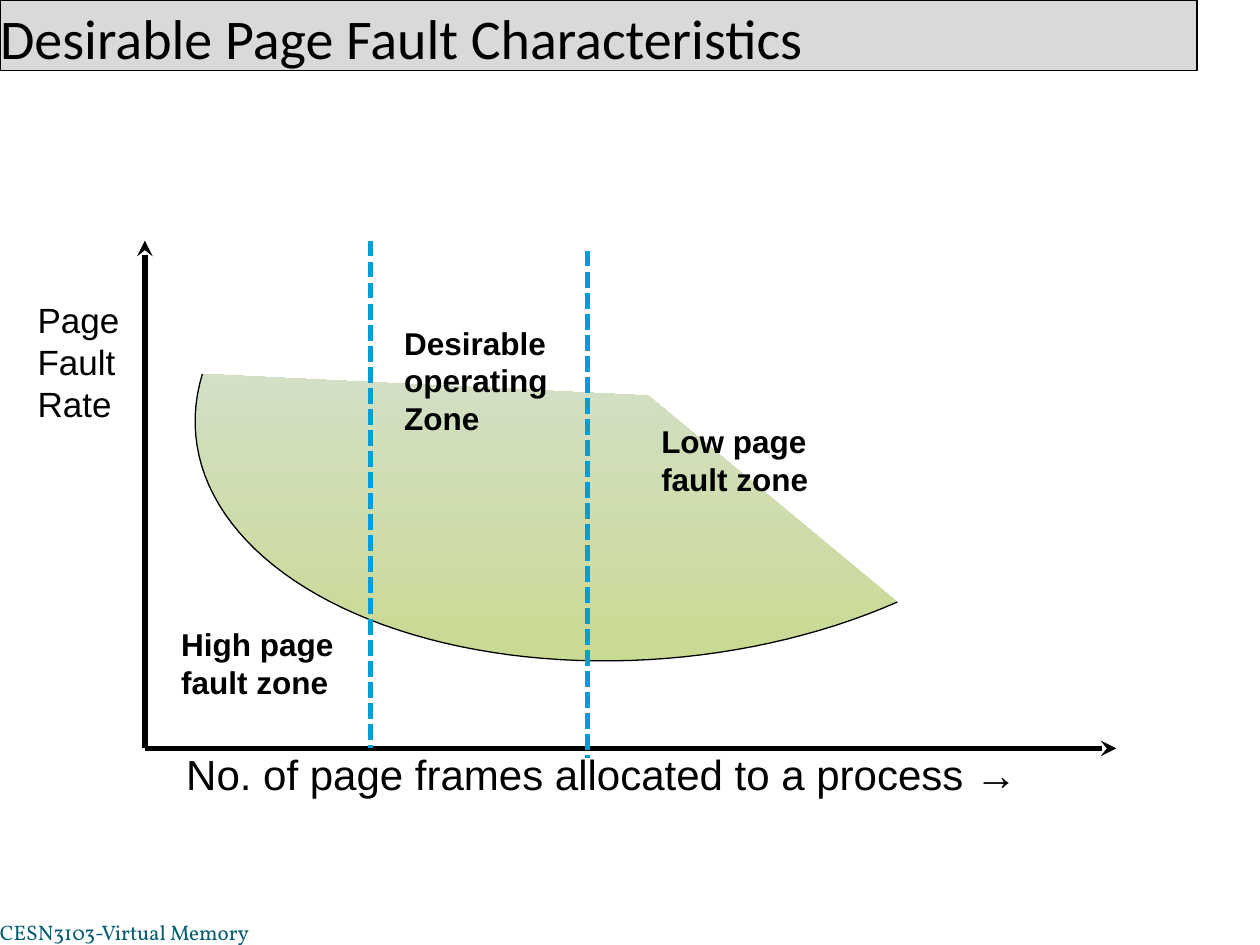
"""Builds the slide on desirable page fault characteristics."""
import math
from dataclasses import dataclass

import pptx
import pptx.dml.color
import pptx.enum.dml
import pptx.enum.shapes
import pptx.enum.text
import pptx.oxml.ns
import pptx.util
from lxml import etree

RGBColor = pptx.dml.color.RGBColor
BLACK = RGBColor(0x00, 0x00, 0x00)
TITLE_GREY = RGBColor(0xD9, 0xD9, 0xD9)
ZONE_BLUE = RGBColor(0x00, 0x9D, 0xD9)
FOOTER_TEAL = RGBColor(0x04, 0x5C, 0x75)
CURVE_GREEN = RGBColor(0xC9, 0xDA, 0x92)
CURVE_PALE = RGBColor(0xD3, 0xDF, 0xC6)

CELL = pptx.util.Inches(0.1)
COLUMNS, ROWS = 100, 75
ANCHOR = pptx.enum.text.MSO_ANCHOR
AUTO_SIZE = pptx.enum.text.MSO_AUTO_SIZE


@dataclass
class Box:
    """A rectangle counted in columns and rows of the slide grid."""
    left: float
    top: float
    width: float
    height: float

    def inner(self, left, top, width, height):
        """Return a box placed relative to this one."""
        return Box(self.left + left, self.top + top, width, height)

    def point(self, column, row):
        """Return the slide position of a point relative to this box."""
        return cells(self.left + column), cells(self.top + row)

    def extent(self):
        """Return left, top, width and height as lengths."""
        return tuple(map(cells, (self.left, self.top, self.width, self.height)))


def cells(count):
    """Convert a number of grid cells to a length."""
    return pptx.util.Emu(round(count * CELL))


def style_text(frame, font_name, size, color, bold=False):
    """Format every run of a text frame."""
    for paragraph in frame.paragraphs:
        paragraph.alignment = pptx.enum.text.PP_ALIGN.LEFT
        for run in paragraph.runs:
            run.font.name = font_name
            run.font.size = pptx.util.Pt(size)
            run.font.color.rgb = color
            run.font.bold = bold


def set_margins(frame, top=0):
    """Clear the margins of a text frame except the top one."""
    frame.margin_left = frame.margin_right = frame.margin_bottom = 0
    frame.margin_top = top


def add_title(slide, box):
    """Fill the title placeholder as a grey band."""
    title = slide.shapes.title
    title.left, title.top, title.width, title.height = box.extent()
    title.fill.solid()
    title.fill.fore_color.rgb = TITLE_GREY
    title.line.color.rgb = BLACK
    title.line.width = pptx.util.Pt(0.75)
    frame = title.text_frame
    frame.text = "Desirable Page Fault Characteristics"
    frame.auto_size = AUTO_SIZE.NONE
    frame.vertical_anchor = ANCHOR.BOTTOM
    set_margins(frame, cells(0.5))
    style_text(frame, "Calibri", 32, BLACK)


def add_footer(slide, box):
    """Write the course name at the bottom of the slide."""
    frame = slide.shapes.add_textbox(*box.extent()).text_frame
    frame.text = "CESN3103-Virtual Memory"
    frame.word_wrap = True
    frame.vertical_anchor = ANCHOR.BOTTOM
    set_margins(frame)
    style_text(frame, "Vollkorn", 12, FOOTER_TEAL)


def add_label(slide, box, text, size, bold=False):
    """Write a wrapped label in the diagram."""
    frame = slide.shapes.add_textbox(*box.extent()).text_frame
    frame.text = text
    frame.word_wrap = True
    frame.auto_size = AUTO_SIZE.SHAPE_TO_FIT_TEXT
    style_text(frame, "Arial", size, BLACK, bold)


def add_rule(slide, start, end, color, arrow=False):
    """Draw a thick straight line, dashed unless it carries an arrowhead."""
    rule = slide.shapes.add_connector(
        pptx.enum.shapes.MSO_CONNECTOR.STRAIGHT, *start, *end)
    rule.line.color.rgb = color
    rule.line.width = pptx.util.Pt(3)
    if arrow:
        etree.SubElement(rule.line._get_or_add_ln(),
                         pptx.oxml.ns.qn("a:tailEnd"), type="stealth")
    else:
        rule.line.dash_style = pptx.enum.dml.MSO_LINE.SQUARE_DOT
    etree.SubElement(rule._element.spPr, pptx.oxml.ns.qn("a:effectLst"))


def arc_points(box, first, last, turn, steps=60):
    """Return points along an arc of the turned ellipse filling a box."""
    turn = math.radians(turn)
    points = []
    for step in range(steps + 1):
        angle = math.radians(first + (last - first) * step / steps)
        across = box.width / 2 * math.cos(angle)
        down = box.height / 2 * math.sin(angle)
        points.append(box.point(
            box.width / 2 + across * math.cos(turn) - down * math.sin(turn),
            box.height / 2 + across * math.sin(turn) + down * math.cos(turn)))
    return points


def add_outline(slide, points, close):
    """Build a freeform through the given points."""
    builder = slide.shapes.build_freeform(*points[0])
    builder.add_line_segments(points[1:], close=close)
    outline = builder.convert_to_shape()
    outline.shadow.inherit = False
    return outline


def add_fault_curve(slide, box):
    """Draw the fault rate curve and the shaded sector behind it."""
    curve = arc_points(box, -120.5, 13.1, 175.1)
    center = box.point(box.width / 2, box.height / 2)
    sector = add_outline(slide, curve + [center], True)
    sector.fill.gradient()
    sector.fill.gradient_angle = 90
    for stop, color in zip(sector.fill.gradient_stops, (CURVE_GREEN, CURVE_PALE)):
        stop.color.rgb = color
    sector.line.fill.background()
    edge = add_outline(slide, curve, False)
    edge.fill.background()
    edge.line.color.rgb = BLACK
    edge.line.width = pptx.util.Pt(0.75)


def add_fault_diagram(slide, box):
    """Draw the axes, curve, zone limits and labels of the diagram."""
    origin = box.point(0, box.height)
    for tip in (box.point(0, 0), box.point(box.width, box.height)):
        add_rule(slide, origin, tip, BLACK, arrow=True)
    add_fault_curve(slide, box.inner(3.9, -8.6, 72.1, 41.8))
    add_label(slide, box.inner(-9.5, 4.1, 11.4, 11), "Page\nFault\nRate", 20)
    add_label(slide, box.inner(2.3, 39.8, 72.3, 5),
              "No. of page frames allocated to a process →", 24)
    for column, row in ((17.9, 0), (35.1, 0.8)):
        add_rule(slide, box.point(column, row),
                 box.point(column, row + box.height), ZONE_BLUE)
    zones = (("High page fault zone", 1.9, 30, 7),
             ("Desirable operating Zone", 19.6, 6.1, 10),
             ("Low page fault zone", 40, 13.9, 7))
    for zone, column, row, height in zones:
        add_label(slide, box.inner(column, row, 14.3, height), zone, 18, bold=True)


def main():
    """Build and save the presentation."""
    deck = pptx.Presentation()
    deck.slide_width, deck.slide_height = cells(COLUMNS), cells(ROWS)
    slide = deck.slides.add_slide(deck.slide_layouts[5])
    add_footer(slide, Box(0, ROWS - 4, 23.3, 4))
    add_title(slide, Box(0, 0, 95, 5.6))
    add_fault_diagram(slide, Box(11.5, 19.1, 77.1, 40.3))
    deck.save("out.pptx")


if __name__ == "__main__":
    main()
